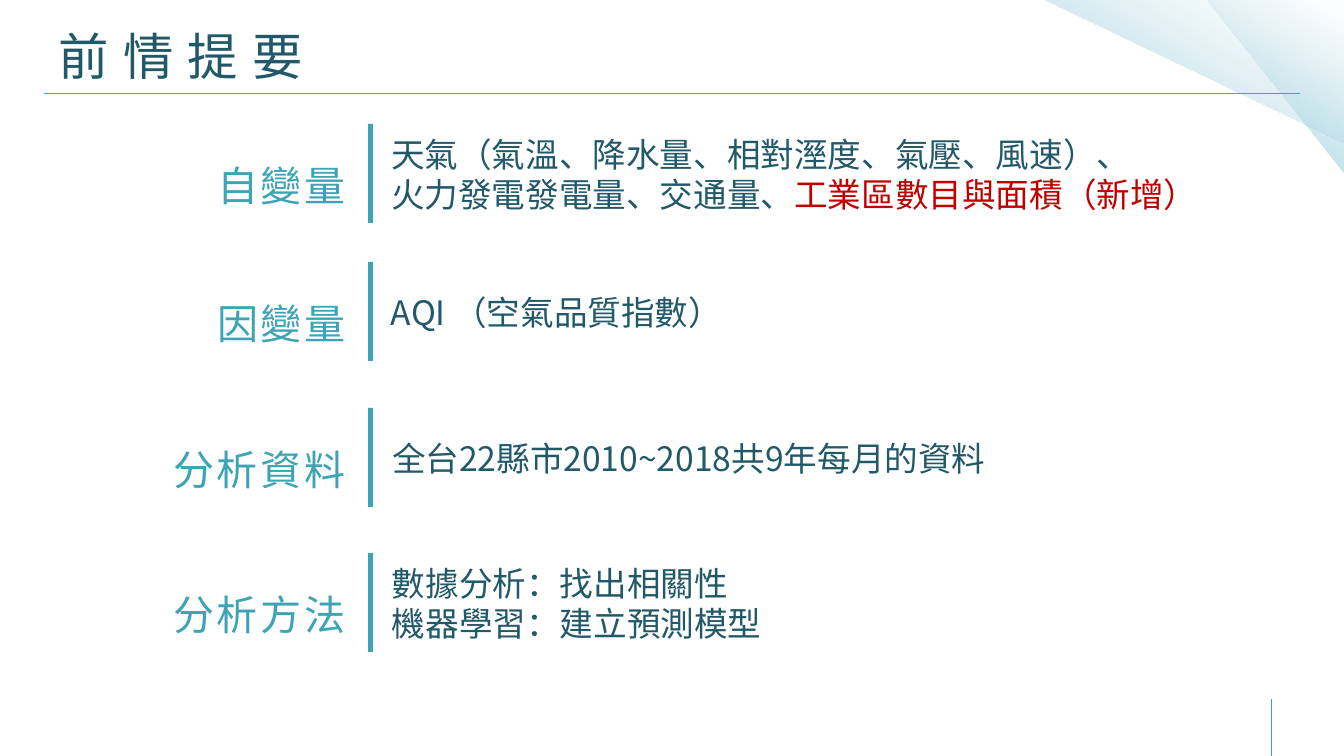
from pptx import Presentation
from pptx.dml.color import RGBColor
from pptx.enum.shapes import MSO_CONNECTOR as Connector, MSO_SHAPE as Shape
from pptx.enum.text import MSO_ANCHOR as Anchor, MSO_AUTO_SIZE as AutoSize, PP_ALIGN as Align
from pptx.oxml import parse_xml
from pptx.oxml.ns import nsdecls, qn
from pptx.util import Pt
from lxml.etree import SubElement

PX = 914400 / 67.2
WIDTH, HEIGHT = 1344, 756
FONT = "Noto Sans CJK SC"
COLORS = {
    "dark": "215968",
    "teal": "3DA4B5",
    "red": "C00000",
}
# Gradient stops: position %, colour, opacity %
GLASS = [(0, "97D1E0", 100), (50, "AAD7E2", 44), (100, "E0F0F4", 0)]

# Each row: bar top, label, value box left, width and wrap, lines of (text, colour) spans
ROWS = [
    (124, "自變量", 384, 1032, True, [
        [("天氣（氣溫、降水量、相對溼度、氣壓、風速）、", "dark")],
        [("火力發電發電量、交通量、", "dark"), ("工業區數目與面積（新增）", "red")]]),
    (262, "因變量", 384, 354, False, [[("AQI （空氣品質指數）", "dark")]]),
    (408, "分析資料", 385, 1022, True, [[("全台22縣市2010~2018共9年每月的資料", "dark")]]),
    (553, "分析方法", 385, 1018, True, [
        [("數據分析：找出相關性", "dark")],
        [("機器學習：建立預測模型", "dark")]]),
]


def emu(*lengths):
    return [round(length * PX) for length in lengths]


def add_span(para, text, *, size, color, spacing=0):
    span = para.add_run()
    span.text = text
    span.font.size = Pt(size)
    span.font.name = FONT
    span.font.color.rgb = RGBColor.from_string(COLORS[color])
    props = span.font._element
    SubElement(props, qn("a:ea")).set("typeface", FONT)
    if spacing:
        props.set("spc", str(spacing * 100))


class Painter:
    def __init__(self, page):
        self.page = page

    def glass_triangle(self, left, top, width, height):
        triangle = self.page.shapes.add_shape(
            Shape.RIGHT_TRIANGLE, *emu(left, top, width, height))
        triangle.rotation = 180
        triangle.shadow.inherit = False
        triangle.line.fill.background()
        triangle.fill.background()
        stops = "".join(
            f'<a:gs pos="{pos * 1000}"><a:srgbClr val="{color}">'
            f'<a:alpha val="{alpha * 1000}"/></a:srgbClr></a:gs>'
            for pos, color, alpha in GLASS)
        gradient = parse_xml(
            f'<a:gradFill {nsdecls("a")} rotWithShape="1"><a:gsLst>{stops}</a:gsLst>'
            f'<a:lin ang="{120 * 60000}" scaled="0"/></a:gradFill>')
        props = triangle._element.spPr
        props.replace(props.find(qn("a:noFill")), gradient)

    def line(self, x1, y1, x2, y2):
        line = self.page.shapes.add_connector(Connector.STRAIGHT, *emu(x1, y1, x2, y2))
        line.line.color.rgb = RGBColor.from_string(COLORS["teal"])
        line.line.width = Pt(1)
        SubElement(line._element.spPr, qn("a:effectLst"))

    def bar(self, left, top, width, height):
        bar = self.page.shapes.add_shape(Shape.RECTANGLE, *emu(left, top, width, height))
        bar.shadow.inherit = False
        bar.fill.solid()
        bar.fill.fore_color.rgb = RGBColor.from_string(COLORS["teal"])
        bar.line.fill.background()

    def text(self, left, top, width, height, lines, *, size, spacing=0, insets=(7, 3),
             anchor=Anchor.TOP, align=Align.LEFT, leading=1.0, wrap=True, grow=False):
        box = self.page.shapes.add_textbox(*emu(left, top, width, height))
        frame = box.text_frame
        frame.word_wrap = wrap
        frame.auto_size = AutoSize.SHAPE_TO_FIT_TEXT if grow else AutoSize.NONE
        frame.vertical_anchor = anchor
        frame.margin_left, frame.margin_top = emu(*insets)
        frame.margin_right, frame.margin_bottom = emu(*insets)
        for index, spans in enumerate(lines):
            para = frame.add_paragraph() if index else frame.paragraphs[0]
            para.alignment = align
            para.line_spacing = leading
            for text, color in spans:
                add_span(para, text, size=size, color=color, spacing=spacing)


def main():
    deck = Presentation()
    deck.slide_width, deck.slide_height = emu(WIDTH, HEIGHT)
    painter = Painter(deck.slides.add_slide(deck.slide_layouts[6]))

    # Corner decoration and rules
    painter.glass_triangle(1207, 0, 137, 173)
    painter.glass_triangle(1044, 0, 301, 143)
    painter.line(44, 93, 1300, 93)
    painter.line(1271, HEIGHT, 1271, 699)

    # Title
    painter.text(47, 14, 1230, 83, [[("前情提要", "dark")]], size=54, spacing=15,
                 insets=(12, 6), anchor=Anchor.MIDDLE)

    # Rows: label, bar, and value centred on the bar
    for top, label, left, width, wrap, lines in ROWS:
        painter.text(93, top + 21, 265, 57, [[(label, "teal")]], size=44, spacing=3,
                     insets=(12, 6), align=Align.RIGHT, leading=1.2)
        painter.bar(368, top, 5, 99)
        height = 8 + 40 * len(lines)
        painter.text(left, top + 51 - height // 2, width, height, lines,
                     size=36, wrap=wrap, grow=True)

    deck.save("out.pptx")


if __name__ == "__main__":
    main()
